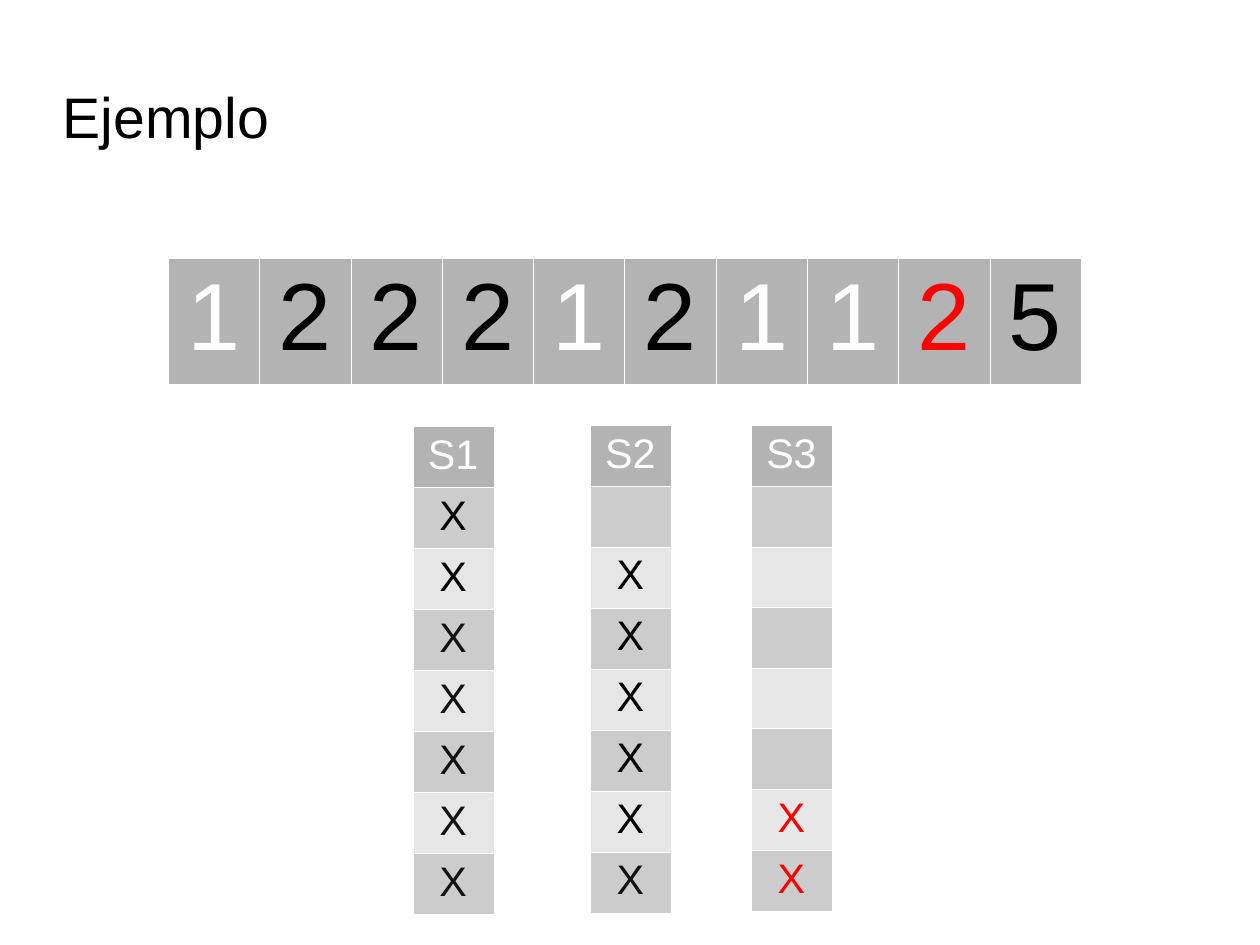
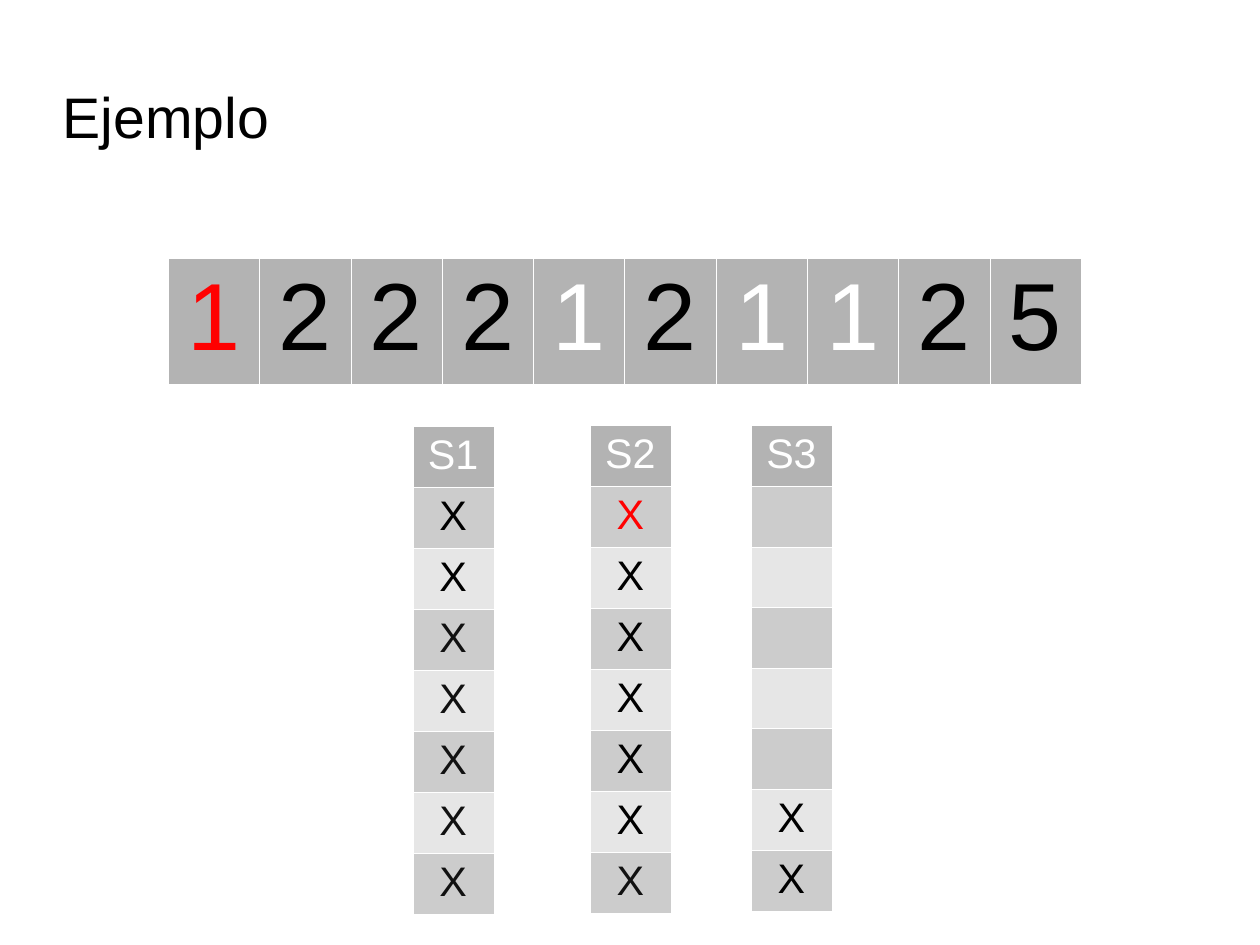
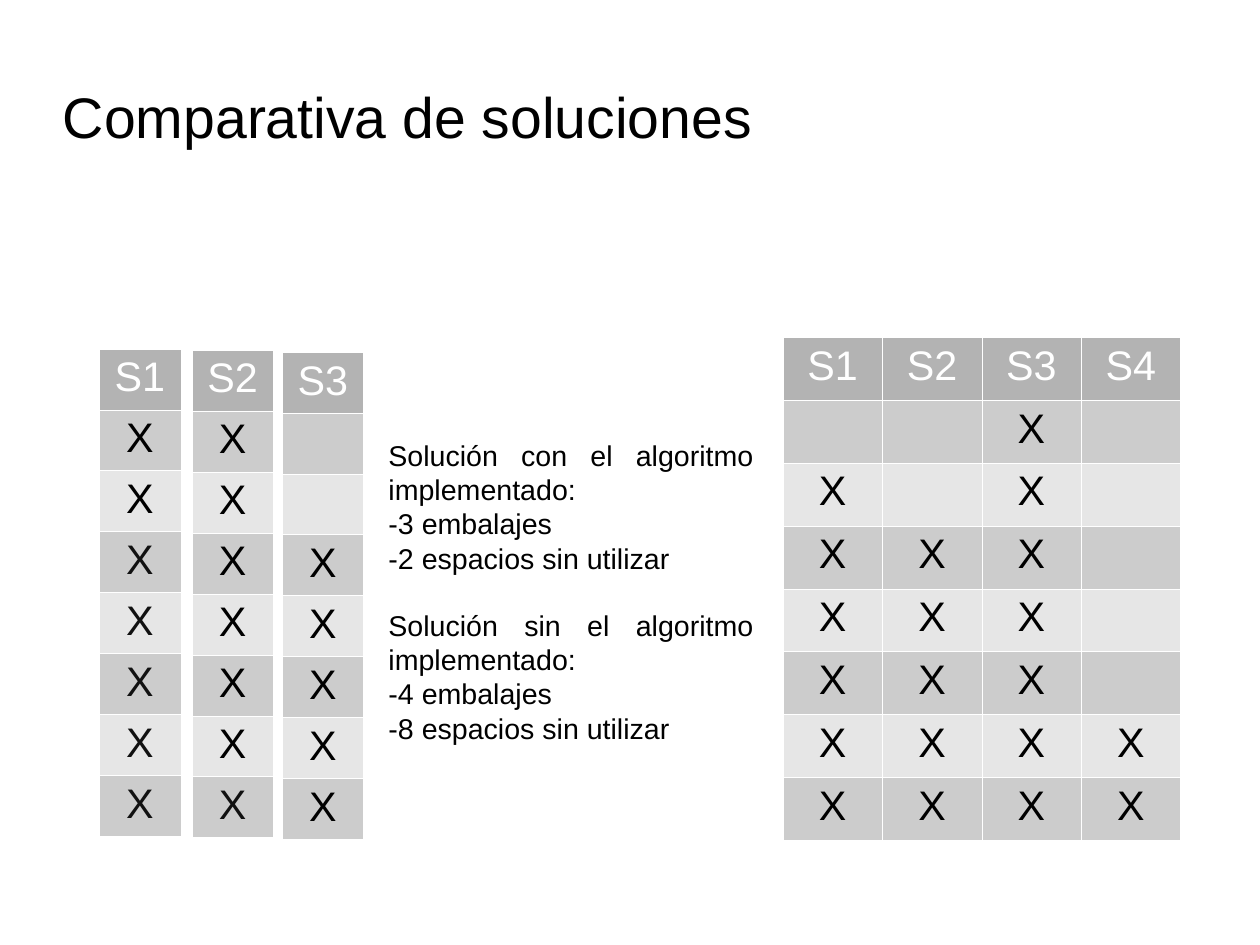
from dataclasses import dataclass

from lxml.etree import SubElement
from pptx import Presentation
from pptx.dml.color import RGBColor
from pptx.enum.text import MSO_ANCHOR as Anchor, PP_ALIGN as Align
from pptx.oxml.ns import qn
from pptx.util import Inches, Pt


@dataclass(frozen=True)
class Theme:
    font: str = "Arial"
    black: str = "000000"
    soft: str = "111111"
    white: str = "FFFFFF"
    red: str = "FF0000"
    header: str = "B3B3B3"
    bands: tuple = ("CCCCCC", "E6E6E6")
    title_size: int = 36
    digit_size: int = 60
    cell_size: int = 26
    body_size: int = 18
    border: float = 0.06


THEME = Theme()
MARK_COLORS = {"X": THEME.black, "s": THEME.soft, "R": THEME.red}

CM_PER_INCH = 2.54
PAGE_CM = (28, 21)

SEQUENCE = "1222121125"
SEQUENCE_AT = (1.47, 2.26)
SEQUENCE_CELL = (7.99 / len(SEQUENCE), 1.09)
STACK_CELL = (0.71, 0.53)
GRID_CELL = (0.87, 0.55)

EXAMPLE_PLACES = [(3.61, 3.73), (5.16, 3.72), (6.57, 3.72)]
EXAMPLES = [
    {"highlight": 8, "stacks": [("S1", "XXsssss"), ("S2", ".XXXXXs"), ("S3", ".....RR")]},
    {"highlight": 0, "stacks": [("S1", "XXsssss"), ("S2", "RXXXXXs"), ("S3", ".....XX")]},
]

COMPARISON_PLACES = [(0.87, 3.05), (1.68, 3.06), (2.47, 3.08)]
WITH_ALGORITHM = [("S1", "XXsssss"), ("S2", "XXXXXXs"), ("S3", "..XXXXX")]
WITHOUT_ALGORITHM = [("S1", ".XXXXXX"), ("S2", "..XXXXX"), ("S3", "XXXXXXX"), ("S4", ".....XX")]
SUMMARY = [
    ["Solución con el algoritmo implementado:", "-3 embalajes", "-2 espacios sin utilizar"],
    ["Solución sin el algoritmo implementado:", "-4 embalajes", "-8 espacios sin utilizar"],
]


def style_runs(para, size, color=THEME.black):
    for span in para.runs:
        span.font.name = THEME.font
        span.font.size = Pt(size)
        span.font.color.rgb = RGBColor.from_string(color)


def add_page(deck, title):
    page = deck.slides.add_slide(deck.slide_layouts[6])
    box = page.shapes.add_textbox(Inches(0.55), Inches(0.62), Inches(7.87), Inches(0.79))
    frame = box.text_frame
    frame.word_wrap = True
    frame.vertical_anchor = Anchor.MIDDLE
    frame.margin_left = frame.margin_right = frame.margin_top = frame.margin_bottom = 0
    frame.text = title
    style_runs(frame.paragraphs[0], THEME.title_size)
    return page


def set_borders(cell):
    properties = cell._tc.get_or_add_tcPr()
    for side in ("a:lnL", "a:lnR", "a:lnT", "a:lnB"):
        line = SubElement(properties, qn(side), w=str(int(Pt(THEME.border))))
        SubElement(SubElement(line, qn("a:solidFill")), qn("a:srgbClr"), val=THEME.white)


def add_grid(page, place, cell_size, rows, text_size):
    left, top = place
    width, height = cell_size
    row_count, column_count = len(rows), len(rows[0])
    table = page.shapes.add_table(
        row_count, column_count, Inches(left), Inches(top),
        Inches(width * column_count), Inches(height * row_count)).table
    table.first_row = table.horz_banding = False
    for row_index, row in enumerate(rows):
        fill = THEME.bands[(row_index - 1) % 2] if row_index else THEME.header
        for column_index, (text, color) in enumerate(row):
            cell = table.cell(row_index, column_index)
            set_borders(cell)
            cell.fill.solid()
            cell.fill.fore_color.rgb = RGBColor.from_string(fill)
            if text:
                cell.text_frame.text = text
                para = cell.text_frame.paragraphs[0]
                para.alignment = Align.CENTER
                style_runs(para, text_size, color)


def add_sequence(page, highlight):
    digits = []
    for index, digit in enumerate(SEQUENCE):
        color = THEME.white if digit == "1" else THEME.black
        digits.append((digit, THEME.red if index == highlight else color))
    add_grid(page, SEQUENCE_AT, SEQUENCE_CELL, [digits], THEME.digit_size)


def add_packages(page, place, cell_size, packages):
    header = [(name, THEME.white) for name, marks in packages]
    levels = zip(*(marks for name, marks in packages))
    body = [[("X" if mark in MARK_COLORS else "", MARK_COLORS.get(mark)) for mark in level]
            for level in levels]
    add_grid(page, place, cell_size, [header, *body], THEME.cell_size)


def add_stacks(page, places, stacks):
    for place, stack in zip(places, stacks):
        add_packages(page, place, STACK_CELL, [stack])


def add_summary(page):
    box = page.shapes.add_textbox(Inches(3.3), Inches(3.78), Inches(3.39), Inches(2.9))
    frame = box.text_frame
    frame.word_wrap = True
    for group_index, group in enumerate(SUMMARY):
        for line_index, line in enumerate(group):
            first = group_index == line_index == 0
            para = frame.paragraphs[0] if first else frame.add_paragraph()
            para.text = line
            para.alignment = Align.JUSTIFY
            if group_index and not line_index:
                para.space_before = Pt(THEME.body_size * 1.15)
            style_runs(para, THEME.body_size)


def main():
    deck = Presentation()
    deck.slide_width, deck.slide_height = (Inches(side / CM_PER_INCH) for side in PAGE_CM)
    for example in EXAMPLES:
        page = add_page(deck, "Ejemplo")
        add_sequence(page, example["highlight"])
        add_stacks(page, EXAMPLE_PLACES, example["stacks"])
    page = add_page(deck, "Comparativa de soluciones")
    add_stacks(page, COMPARISON_PLACES, WITH_ALGORITHM)
    add_packages(page, (6.85, 2.95), GRID_CELL, WITHOUT_ALGORITHM)
    add_summary(page)
    deck.save("out.pptx")


if __name__ == "__main__":
    main()
